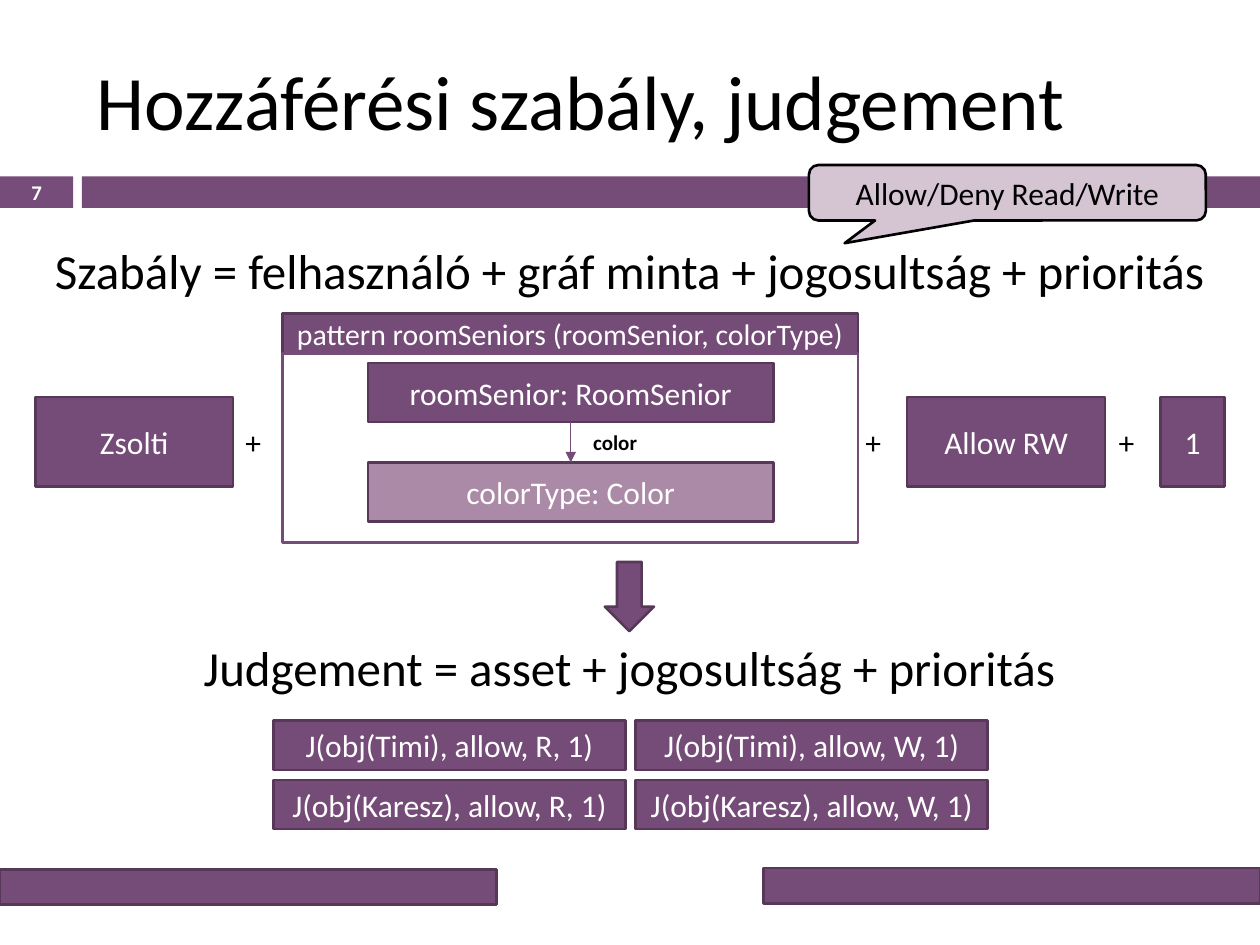
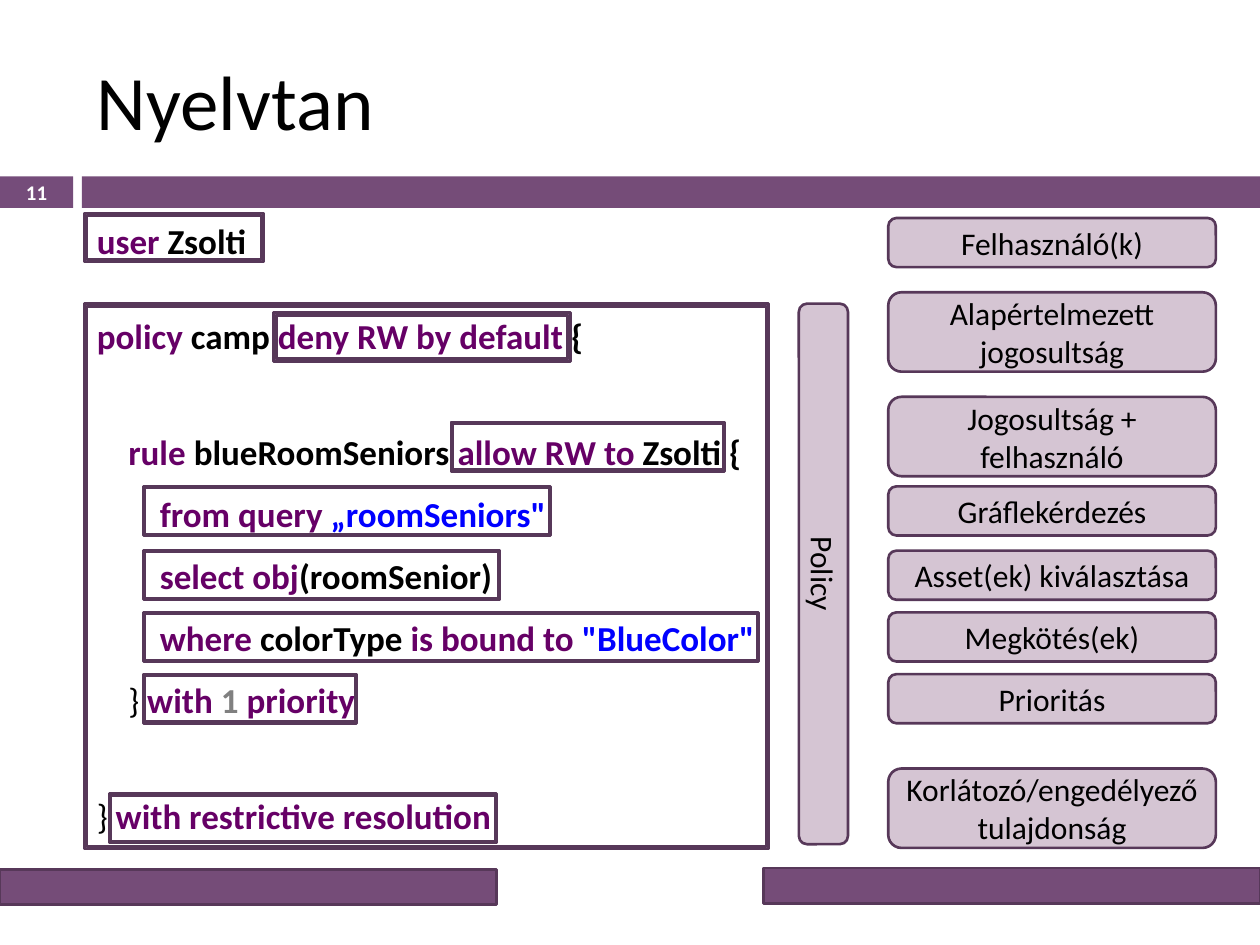
from dataclasses import dataclass

from lxml import etree
from pptx import Presentation
from pptx.dml.color import RGBColor
from pptx.enum.shapes import MSO_CONNECTOR as Connector, MSO_SHAPE as Shape
from pptx.enum.text import MSO_ANCHOR as Anchor, PP_ALIGN as Align
from pptx.oxml.ns import qn
from pptx.util import Emu, Inches, Pt

COLORS = {
    "band": "754C78", "number_band": "754C7A", "edge": "573859",
    "pale": "D5C5D3", "mid": "AA8AA6", "white": "FFFFFF", "black": "000000",
    "keyword": "660066", "literal": "0000FF", "number": "808080",
}
FONT = "Calibri"
COLUMNS, ROWS = 100, 75
SLIDE_WIDTH, SLIDE_HEIGHT = Inches(10), Inches(7.5)


@dataclass
class Box:
    """Area of the slide in grid columns and rows."""
    left: float
    top: float
    width: float
    height: float

    def area(self, left, top, width, height):
        return Box(self.left + left, self.top + top, width, height)

    def emu(self):
        col, row = SLIDE_WIDTH / COLUMNS, SLIDE_HEIGHT / ROWS
        return [Emu(round(v)) for v in (self.left * col, self.top * row,
                                        self.width * col, self.height * row)]


def rgb(name):
    return RGBColor.from_string(COLORS[name])


def style_font(font, size, color, bold=False):
    font.name, font.size, font.bold = FONT, Pt(size), bold
    font.color.rgb = rgb(color)


def write(frame, text, size, color, align, bold=False):
    paragraph = frame.paragraphs[0]
    paragraph.text, paragraph.alignment = text, align
    style_font(paragraph.font, size, color, bold)


def add_block(slide, box, text="", kind=Shape.RECTANGLE, fill="band", line="edge",
              color="white", size=18, adjust=()):
    block = slide.shapes.add_shape(kind, *box.emu())
    block.shadow.inherit = False
    block.fill.solid()
    block.fill.fore_color.rgb = rgb(fill)
    if line:
        block.line.color.rgb = rgb(line)
        block.line.width = Pt(1.5)
    else:
        block.line.fill.background()
    for index, value in enumerate(adjust):
        block.adjustments[index] = value
    if text:
        block.text_frame.word_wrap = True
        block.text_frame.vertical_anchor = Anchor.MIDDLE
        write(block.text_frame, text, size, color, Align.CENTER)
    return block


def add_label(slide, box, text):
    return add_block(slide, box, text, Shape.ROUNDED_RECTANGLE, "pale", color="black")


def add_text(slide, box, text, size, color="black", align=Align.LEFT, bold=False,
             anchor=Anchor.TOP, wrap=True):
    frame = slide.shapes.add_textbox(*box.emu()).text_frame
    frame.word_wrap, frame.vertical_anchor = wrap, anchor
    write(frame, text, size, color, align, bold)


def start_slide(deck, title, number):
    """Blank slide with the shared bands, title and page number."""
    slide = deck.slides.add_slide(deck.slide_layouts[6])
    number_box = Box(0, 14, 5.8, 2.5)
    add_block(slide, number_box, fill="number_band", line=None)
    add_block(slide, Box(6.5, 14, 93.5, 2.5), line=None)
    add_block(slide, Box(60.6, 68.9, 39.4, 2.8))
    add_block(slide, Box(0, 69, 39.4, 2.8))
    add_text(slide, Box(6.7, 2.5, 89.2, 10.8), title, 44, anchor=Anchor.MIDDLE)
    add_text(slide, number_box, number, 11.9, "white", Align.CENTER, True, Anchor.MIDDLE)
    return slide


def add_formula(slide, box, text):
    add_text(slide, box, text, 28, align=Align.CENTER)


def add_pattern(slide, box):
    """Graph pattern: a header over two nodes joined by an edge."""
    header = 3.15
    node_left, node_width, node_height = 6.8, 32.2, 4.7
    add_block(slide, box.area(0, 0, box.width, header),
              "pattern roomSeniors (roomSenior, colorType)", size=17)
    add_block(slide, box.area(0, header, box.width, box.height - header),
              fill="white", line="band")
    senior = add_block(slide, box.area(node_left, 3.9, node_width, node_height),
                       "roomSenior: RoomSenior")
    color = add_block(slide, box.area(node_left, 11.8, node_width, node_height),
                      "colorType: Color", fill="mid")
    edge = slide.shapes.add_connector(Connector.STRAIGHT, 0, 0, 0, 0)
    edge.begin_connect(senior, 2)
    edge.end_connect(color, 0)
    edge.line.color.rgb = rgb("band")
    edge.line.width = Pt(0.79)
    properties = edge._element.spPr
    etree.SubElement(properties.find(qn("a:ln")), qn("a:tailEnd"), type="triangle")
    etree.SubElement(properties, qn("a:effectLst"))
    add_text(slide, box.area(23.7, 8.7, 5.6, 3), "color", 12, bold=True, wrap=False)


def add_rule_terms(slide, box):
    """User, permission and priority, with plus signs around the pattern."""
    for left, width, term in ((0, 15.7, "Zsolti"), (69.2, 15.7, "Allow RW"),
                              (89.3, 5.1, "1")):
        add_block(slide, box.area(left, 0, width, box.height), term)
    for left in (15.7, 64.9, 85):
        add_text(slide, box.area(left, 1.6, 3.7, 4), "+", 18, wrap=False)


def add_judgements(slide, box):
    gap = 0.8
    width, height = (box.width - gap) / 2, (box.height - gap) / 2
    for row, person in enumerate(("Timi", "Karesz")):
        for col, access in enumerate("RW"):
            add_block(slide, box.area(col * (width + gap), row * (height + gap),
                                      width, height),
                      f"J(obj({person}), allow, {access}, 1)")


def build_rule_slide(deck):
    slide = start_slide(deck, "Hozzáférési szabály, judgement", "7")
    add_formula(slide, Box(3.1, 18.6, 93.7, 5.7),
                "Szabály = felhasználó + gráf minta + jogosultság + prioritás")
    add_pattern(slide, Box(22.4, 24.9, 45.7, 18.15))
    add_block(slide, Box(64.2, 13.1, 31.5, 4.4), "Allow/Deny Read/Write",
              Shape.ROUNDED_RECTANGULAR_CALLOUT, "pale", "black", "black",
              adjust=(-0.41, 0.91, 0.17))
    add_rule_terms(slide, Box(2.8, 31.5, 94.4, 7.1))
    add_formula(slide, Box(3.1, 50.1, 93.7, 5.7),
                "Judgement = asset + jogosultság + prioritás")
    add_block(slide, Box(48, 44.6, 3.9, 5.5), kind=Shape.DOWN_ARROW)
    add_judgements(slide, Box(21.7, 57.2, 56.7, 8.6))


# indent in columns, line spacing, points before, runs of (role, text)
CODE = (
    (0, 1, 0, (("keyword", "user "), ("black", "Zsolti"))),
    (0, 1, 30.5, (("keyword", "policy "), ("black", "camp "),
                  ("keyword", "deny RW by default"), ("black", " {"))),
    (2.5, 1.2, 37.6, (("keyword", "rule "), ("black", "blueRoomSeniors "),
                      ("keyword", "allow RW to "), ("black", "Zsolti {"))),
    (5, 1.2, 6.6, (("keyword", "from query "), ("literal", "„roomSeniors\""))),
    (5, 1.2, 6.6, (("keyword", "select obj"), ("black", "(roomSenior)"))),
    (5, 1.2, 6.6, (("keyword", "where "), ("black", "colorType "),
                   ("keyword", "is bound to "), ("literal", "\"BlueColor\""))),
    (2.5, 1.2, 6.6, (("black", "} "), ("keyword", "with "), ("number", "1 "),
                     ("keyword", "priority"))),
    (0, 1, 42.5, (("black", "} "), ("keyword", "with restrictive resolution"))),
)
# left, top, width, border share of each marked phrase
MARKS = (
    (0, 0, 14.2, 0.05), (15, 7.9, 23.6, 0.06), (29.1, 16.6, 21.7, 0.03),
    (4.7, 21.7, 32.3, 0.03), (4.7, 26.8, 28.3, 0.03), (4.7, 31.7, 48.8, 0.03),
    (4.7, 36.6, 16.9, 0.03), (2, 46.1, 30.7, 0.03),
)
LINE_ROWS, TWO_LINE_ROWS = 3.9, 6.3
# top, height, meaning
MEANINGS = (
    (0, LINE_ROWS, "Felhasználó(k)"),
    (5.9, TWO_LINE_ROWS, "Alapértelmezett jogosultság"),
    (14.2, TWO_LINE_ROWS, "Jogosultság + felhasználó"),
    (21.3, LINE_ROWS, "Gráflekérdezés"),
    (26.4, LINE_ROWS, "Asset(ek) kiválasztása"),
    (31.3, LINE_ROWS, "Megkötés(ek)"),
    (36.2, LINE_ROWS, "Prioritás"),
    (43.7, TWO_LINE_ROWS, "Korlátozó/engedélyező tulajdonság"),
)


def add_code(slide, box):
    frame = slide.shapes.add_textbox(*box.emu()).text_frame
    frame.word_wrap = True
    for index, (indent, spacing, before, runs) in enumerate(CODE):
        line = frame.add_paragraph() if index else frame.paragraphs[0]
        line.line_spacing, line.space_before = float(spacing), Pt(before)
        line._p.get_or_add_pPr().set("marL", str(round(indent * SLIDE_WIDTH / COLUMNS)))
        for role, text in runs:
            run = line.add_run()
            run.text = text
            style_font(run.font, 20, role, bold=text != "} ")


def add_marks(slide, box):
    add_block(slide, box.area(0, 7.2, 54.3, 43.3), kind=Shape.FRAME, adjust=(0.005,))
    for left, top, width, border in MARKS:
        add_block(slide, box.area(left, top, width, LINE_ROWS), kind=Shape.FRAME,
                  adjust=(border,))


def add_meanings(slide, box):
    for top, height, meaning in MEANINGS:
        add_label(slide, box.area(0, top, box.width, height), meaning)


def build_grammar_slide(deck):
    slide = start_slide(deck, "Nyelvtan", "11")
    code_box = Box(6.7, 16.9, 56.7, 49.2)
    add_code(slide, code_box)
    add_meanings(slide, Box(70.5, 17.3, 26, 50))
    add_label(slide, Box(43.9, 43.6, 42.9, LINE_ROWS), "Policy").rotation = 90
    add_marks(slide, code_box)


def main():
    deck = Presentation()
    deck.slide_width, deck.slide_height = SLIDE_WIDTH, SLIDE_HEIGHT
    build_rule_slide(deck)
    build_grammar_slide(deck)
    deck.save("out.pptx")


if __name__ == "__main__":
    main()
